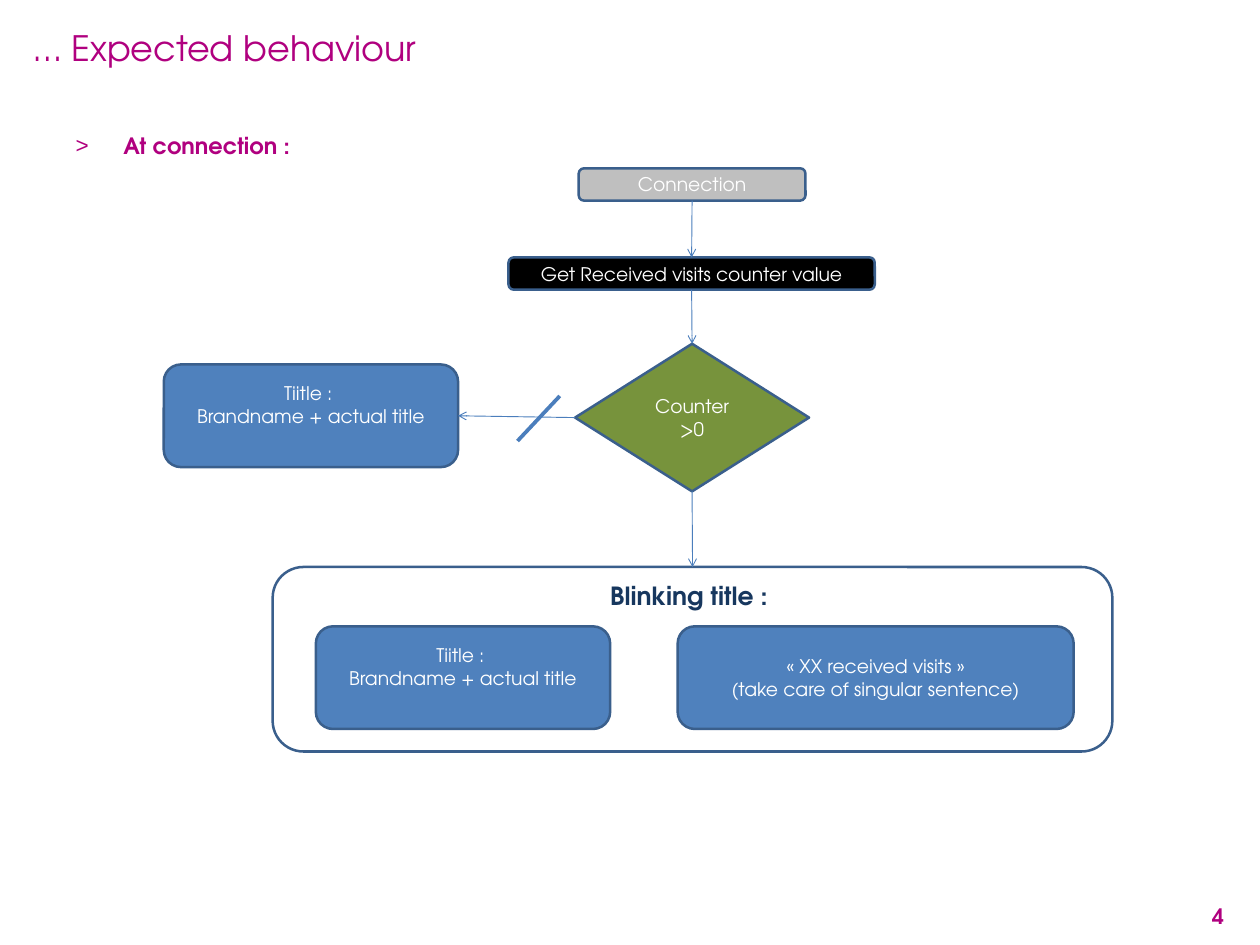
from lxml.etree import SubElement
from pptx import Presentation
from pptx.dml.color import RGBColor
from pptx.enum.shapes import MSO_CONNECTOR, MSO_SHAPE
from pptx.enum.text import MSO_ANCHOR, PP_ALIGN
from pptx.oxml.ns import qn
from pptx.util import Inches, Pt

FONT = "TeX Gyre Adventor"
COLORS = {
    "accent": "B0007F", "border": "3A5F8C", "arrow": "4B7EBC",
    "start": "BFBFBF", "step": "000000", "decision": "77933C",
    "result": "4F81BD", "light": "FFFFFF", "navy": "17375E",
}
TITLE_LINES = ["Tiitle : ", "Brandname + actual title"]
BLANK_LINE = 0.25


def rgb(name):
    return RGBColor.from_string(COLORS[name])


def add_run(p, text, size, color, bold=False):
    r = p.add_run()
    r.text = text
    r.font.name = FONT
    r.font.size = Pt(size)
    r.font.bold = bold
    r.font.color.rgb = rgb(color)


def add_text(s, box, text, size, bold=False, align=PP_ALIGN.LEFT, anchor=MSO_ANCHOR.TOP):
    tf = s.shapes.add_textbox(*map(Inches, box)).text_frame
    tf.word_wrap = True
    tf.vertical_anchor = anchor
    tf.margin_left = tf.margin_right = Inches(0.14)
    tf.margin_top = tf.margin_bottom = Inches(0.07)
    p = tf.paragraphs[0]
    p.alignment = align
    add_run(p, text, size, "accent", bold)
    return p


def add_bullet(p, char, indent):
    pPr = p._p.get_or_add_pPr()
    pPr.set("marL", str(Inches(indent)))
    pPr.set("indent", str(-Inches(indent)))
    color = SubElement(pPr, qn("a:buClr"))
    SubElement(color, qn("a:srgbClr"), val=COLORS["accent"])
    SubElement(pPr, qn("a:buFont"), typeface="Arial")
    SubElement(pPr, qn("a:buChar"), char=char)


def add_node(s, box, lines, fill=None, kind=MSO_SHAPE.ROUNDED_RECTANGLE, size=15,
             color="light", bold=False, anchor=MSO_ANCHOR.MIDDLE, space_below=0):
    sp = s.shapes.add_shape(kind, *map(Inches, box))
    sp.shadow.inherit = False
    if fill:
        sp.fill.solid()
        sp.fill.fore_color.rgb = rgb(fill)
    else:
        sp.fill.background()
    sp.line.color.rgb = rgb("border")
    sp.line.width = Pt(2)
    tf = sp.text_frame
    tf.word_wrap = True
    tf.vertical_anchor = anchor
    tf.margin_bottom = Inches(0.05 + space_below)
    for i, line in enumerate(lines):
        p = tf.add_paragraph() if i else tf.paragraphs[0]
        p.alignment = PP_ALIGN.CENTER
        add_run(p, line, size, color, bold)
    return sp


def add_line(s, start, end, width=0.75):
    cx = s.shapes.add_connector(MSO_CONNECTOR.STRAIGHT, *map(Inches, start + end))
    cx.line.color.rgb = rgb("arrow")
    cx.line.width = Pt(width)
    SubElement(cx._element.spPr, qn("a:effectLst"))
    return cx


def add_arrow(s, source, source_site, target, target_site):
    cx = add_line(s, (0, 0), (0, 0))
    cx.begin_connect(source, source_site)
    cx.end_connect(target, target_site)
    SubElement(cx.line._get_or_add_ln(), qn("a:tailEnd"), type="arrow")


def add_title_node(s, left, top):
    return add_node(s, (left, top, 3.27, 1.14), TITLE_LINES, "result", space_below=BLANK_LINE)


def add_blinking_group(s, box):
    left, top, width, height = box
    add_title_node(s, left + 0.48, top + 0.66)
    add_node(s, (left + 4.5, top + 0.66, 4.4, 1.14),
             ["«\u00a0XX received visits\u00a0»", "(take care of singular sentence)"], "result")
    return add_node(s, box, ["Blinking title : "], size=20, color="navy", bold=True,
                    anchor=MSO_ANCHOR.TOP)


def add_flowchart(s, center):
    start = add_node(s, (center - 1.26, 1.87, 2.52, 0.36), ["Connection"], "start")
    step = add_node(s, (center - 2.04, 2.86, 4.07, 0.36),
                    ["Get Received visits counter value"], "step")
    decision = add_node(s, (center - 1.3, 3.82, 2.6, 1.64), ["Counter >0"], "decision",
                        MSO_SHAPE.FLOWCHART_DECISION)
    plain_title = add_title_node(s, 1.82, 4.05)
    blinking = add_blinking_group(s, (3.03, 6.3, 9.33, 2.05))
    top, left, bottom, right = range(4)
    add_arrow(s, start, bottom, step, top)
    add_arrow(s, step, bottom, decision, top)
    add_arrow(s, decision, left, plain_title, right)
    add_arrow(s, decision, bottom, blinking, top)
    add_line(s, (6.22, 4.4), (5.75, 4.9), 3)


def main():
    prs = Presentation()
    prs.slide_width, prs.slide_height = Inches(14), Inches(10.5)
    s = prs.slides.add_slide(prs.slide_layouts[6])
    add_text(s, (0.23, 0.23, 12.48, 0.59), "… Expected behaviour", 28, anchor=MSO_ANCHOR.MIDDLE)
    p = add_text(s, (0.7, 1.4, 12.6, 0.83), "At connection :", 18, bold=True)
    add_bullet(p, ">", 0.53)
    add_text(s, (10.47, 9.97, 3.27, 0.56), "4", 17, bold=True, align=PP_ALIGN.RIGHT)
    add_flowchart(s, 7.69)
    prs.save("out.pptx")


if __name__ == "__main__":
    main()
